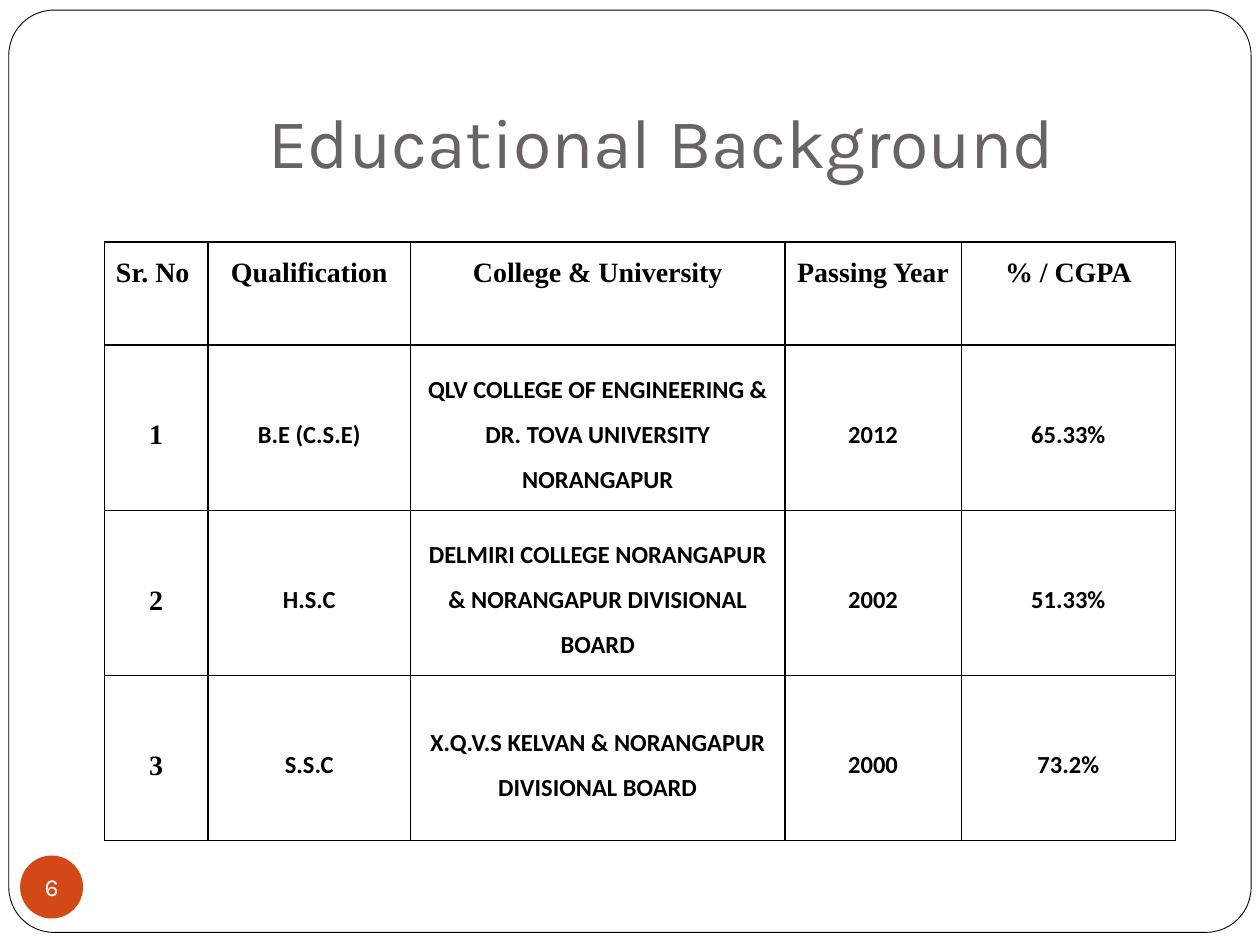
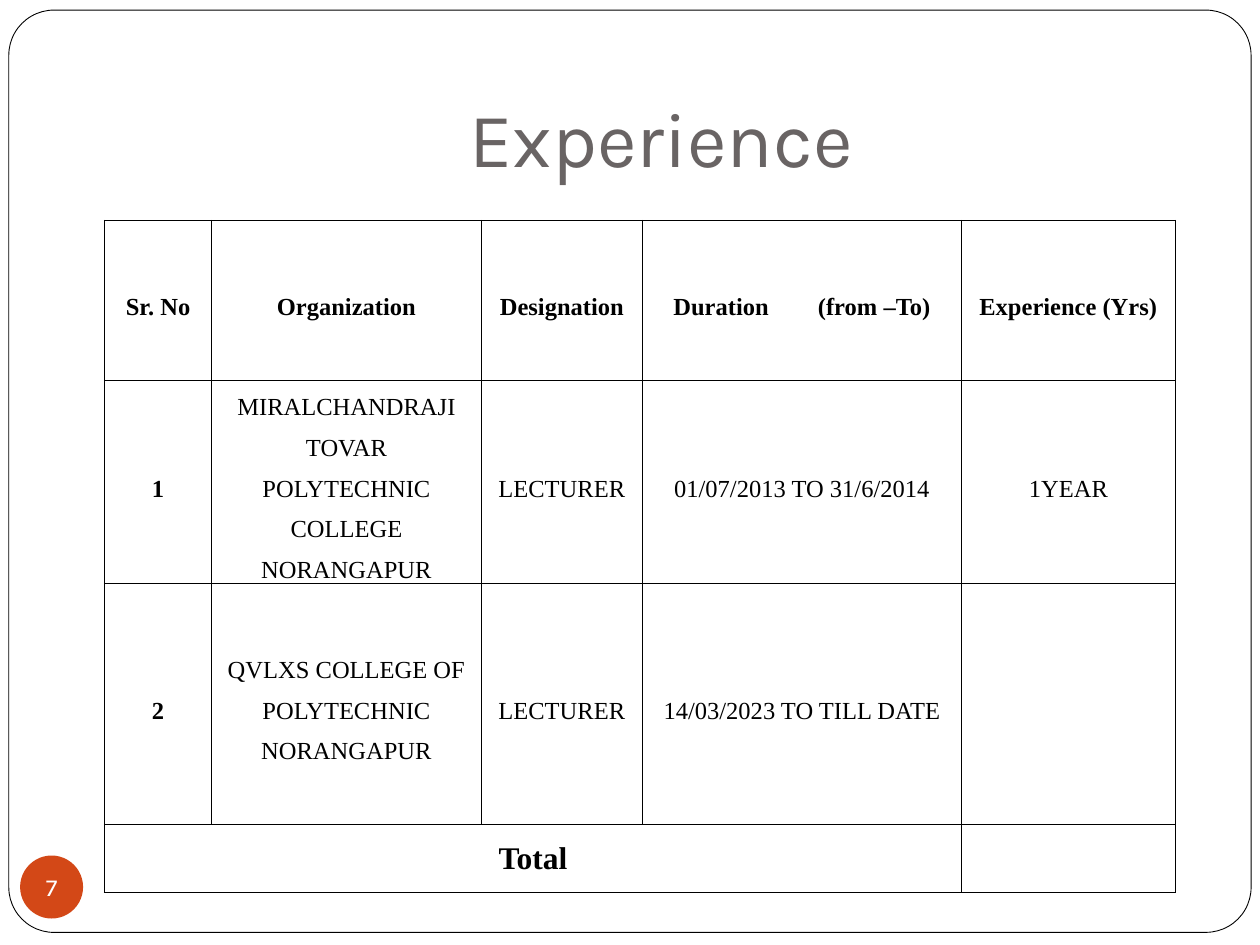
from lxml import etree
from pptx import Presentation
from pptx.dml.color import RGBColor
from pptx.enum.shapes import MSO_SHAPE
from pptx.enum.text import MSO_ANCHOR, MSO_AUTO_SIZE, PP_ALIGN
from pptx.oxml.ns import qn
from pptx.util import Inches, Pt

ROUNDED, OVAL = MSO_SHAPE.ROUNDED_RECTANGLE, MSO_SHAPE.OVAL
TOP, MIDDLE, BOTTOM = MSO_ANCHOR.TOP, MSO_ANCHOR.MIDDLE, MSO_ANCHOR.BOTTOM
CENTER = PP_ALIGN.CENTER
NO_AUTOFIT = MSO_AUTO_SIZE.NONE

COLORS = {"ink": "000000", "paper": "FFFFFF", "title": "696464", "accent": "D34817"}
HEADING, SERIF, SANS = "Karla", "Times New Roman", "Calibri"
GRID_COLUMNS, GRID_ROWS = 100, 75
TABLE_LEFT = 8.3


def rgb(name):
    return RGBColor.from_string(COLORS[name])


class Deck:
    def __init__(self):
        self.prs = Presentation()
        self.prs.slide_width, self.prs.slide_height = Inches(10), Inches(7.5)
        self.slide = None

    def x(self, columns):
        return round(self.prs.slide_width * columns / GRID_COLUMNS)

    def y(self, rows):
        return round(self.prs.slide_height * rows / GRID_ROWS)

    def box(self, left, top, width, height):
        return self.x(left), self.y(top), self.x(width), self.y(height)

    def format_text(self, p, font, size, color="ink", bold=False):
        p.alignment = CENTER
        for r in p.runs:
            r.font.name, r.font.size, r.font.bold = font, Pt(size), bold
            r.font.color.rgb = rgb(color)

    def shape(self, kind, place, fill, line=None):
        s = self.slide.shapes.add_shape(kind, *self.box(*place))
        s.shadow.inherit = False
        s.fill.solid()
        s.fill.fore_color.rgb = rgb(fill)
        if line:
            s.line.color.rgb = rgb(line)
            s.line.width = Pt(0.5)
        else:
            s.line.fill.background()
        return s

    def new_slide(self, title, size, number):
        self.slide = self.prs.slides.add_slide(self.prs.slide_layouts[5])
        frame = self.shape(ROUNDED, (0.7, 0.8, 98.6, 73.2), "paper", "ink")
        frame.adjustments[0] = 0.049
        self.title(title, size, frame)
        self.badge(number)

    def title(self, text, size, frame):
        s = self.slide.shapes.title
        s.left, s.top, s.width, s.height = self.box(10, 3, 85, 12.5)
        tf = s.text_frame
        tf.text = text
        tf.auto_size, tf.word_wrap, tf.vertical_anchor = NO_AUTOFIT, True, BOTTOM
        tf.margin_left = tf.margin_right = tf.margin_bottom = Inches(0.1)
        tf.margin_top = Inches(0.05)
        self.format_text(tf.paragraphs[0], HEADING, size, "title")
        s.element.addprevious(frame.element)

    def badge(self, number):
        tf = self.shape(OVAL, (1.6, 67.9, 5, 5), "accent").text_frame
        tf.text = str(number)
        tf.word_wrap, tf.vertical_anchor = False, MIDDLE
        tf.margin_left = tf.margin_right = tf.margin_top = tf.margin_bottom = 0
        self.format_text(tf.paragraphs[0], HEADING, 14, "paper")

    def table(self, top, widths, heights, rows):
        place = self.box(TABLE_LEFT, top, sum(widths), sum(heights))
        table = self.slide.shapes.add_table(len(heights), len(widths), *place).table
        table.first_row = table.horz_banding = False
        for column, width in zip(table.columns, widths):
            column.width = self.x(width)
        for row, height in zip(table.rows, heights):
            row.height = self.y(height)
        for i, values in enumerate(rows):
            for j, text in enumerate(values):
                self.cell(table.cell(i, j), text)
        return table

    def cell(self, cell, text):
        cell.text = text
        cell.vertical_anchor = MIDDLE
        cell.margin_left = cell.margin_right = Inches(0.07)
        cell.margin_top = cell.margin_bottom = 0
        cell.text_frame.paragraphs[0].line_spacing = 1.5
        tc_pr = cell._tc.get_or_add_tcPr()
        for side in ("lnL", "lnR", "lnT", "lnB"):
            ln = etree.SubElement(tc_pr, qn(f"a:{side}"), w=str(Pt(1)))
            fill = etree.SubElement(ln, qn("a:solidFill"))
            etree.SubElement(fill, qn("a:srgbClr"), val=COLORS["ink"])
        cell.fill.background()

    def widen_space(self, cell, points):
        p = cell.text_frame.paragraphs[0]
        before, after = p.text.split(" ", 1)
        p.text = before
        space, rest = p.add_run(), p.add_run()
        space.text, rest.text = " ", after
        space.font._element.set("spc", str(round(points * 100)))


def education(deck):
    deck.new_slide("Educational Background", 40, 6)
    table = deck.table(19.2, [8.2, 16.1, 29.7, 14, 17], [8.2] + [13.1] * 3, [
        ["Sr. No ", "Qualification", "College & University", "Passing Year", "% / CGPA"],
        ["1", "B.E (C.S.E)",
         "QLV COLLEGE OF ENGINEERING & DR. TOVA UNIVERSITY NORANGAPUR", "2012", "65.33%"],
        ["2", "H.S.C",
         "DELMIRI COLLEGE NORANGAPUR & NORANGAPUR DIVISIONAL BOARD", "2002", "51.33%"],
        ["3", "S.S.C", "X.Q.V.S KELVAN & NORANGAPUR DIVISIONAL BOARD", "2000", "73.2%"],
    ])
    for i, row in enumerate(table.rows):
        for j, cell in enumerate(row.cells):
            label = i == 0 or j == 0
            font, size = (SERIF, 16) if label else (SANS, 14)
            deck.format_text(cell.text_frame.paragraphs[0], font, size, bold=True)
            if i == 0:
                cell.vertical_anchor = TOP


def experience(deck):
    deck.new_slide("Experience", 44, 7)
    table = deck.table(17.5, [8.5, 21.4, 12.8, 25.3, 17], [12.7, 12.7, 19.1, 5.4], [
        ["Sr. No", "Organization", "Designation", "Duration (from –To)", "Experience (Yrs)"],
        ["1", "MIRALCHANDRAJI TOVAR POLYTECHNIC COLLEGE NORANGAPUR", "LECTURER",
         "01/07/2013 TO 31/6/2014", "1YEAR"],
        ["2", "QVLXS COLLEGE OF POLYTECHNIC NORANGAPUR", "LECTURER",
         "14/03/2023 TO TILL DATE", ""],
        ["Total", "", "", "", ""],
    ])
    deck.widen_space(table.cell(0, 3), 24.5)
    for i, row in enumerate(table.rows):
        for j, cell in enumerate(row.cells):
            deck.format_text(cell.text_frame.paragraphs[0], SERIF, 14, bold=i == 0 or j == 0)
    total = table.cell(3, 0)
    total.merge(table.cell(3, 3))
    p = total.text_frame.paragraphs[0]
    p.line_spacing = 1.0
    deck.format_text(p, SERIF, 18, bold=True)


def main():
    deck = Deck()
    education(deck)
    experience(deck)
    deck.prs.save("out.pptx")


if __name__ == "__main__":
    main()
